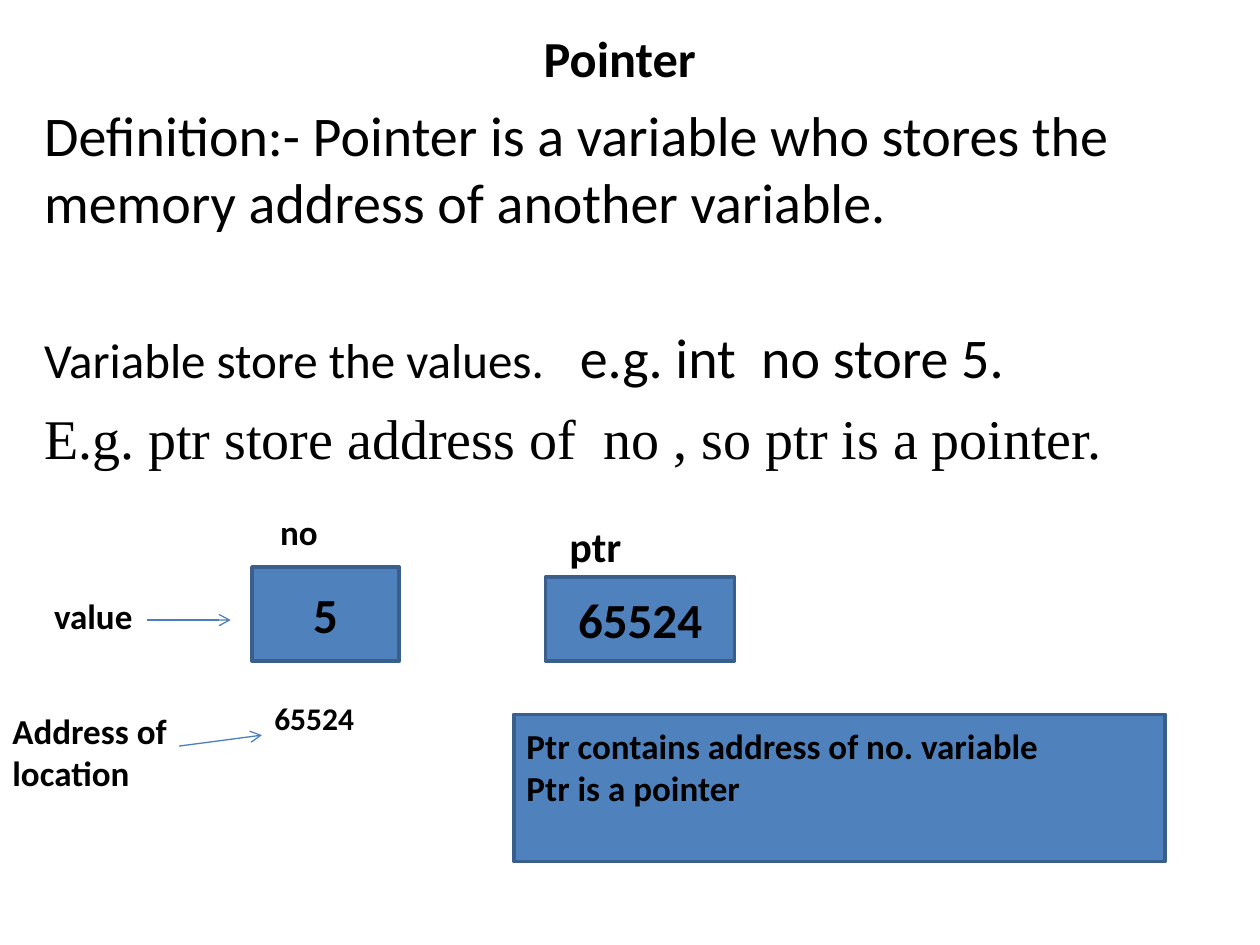
"""Build the slide that explains pointers with a small memory diagram."""
from dataclasses import dataclass

from lxml import etree
from pptx import Presentation
from pptx.dml.color import RGBColor
from pptx.enum.shapes import MSO_CONNECTOR, MSO_SHAPE
from pptx.enum.text import MSO_ANCHOR, PP_ALIGN
from pptx.oxml.ns import qn
from pptx.util import Cm, Pt

BLACK = RGBColor(0x00, 0x00, 0x00)
BOX_FILL = RGBColor(0x4F, 0x81, 0xBD)
BOX_LINE = RGBColor(0x3A, 0x5F, 0x8C)
ARROW_LINE = RGBColor(0x4B, 0x7E, 0xBC)
SANS, SERIF = "Calibri", "Times New Roman"
LEFT, CENTER = PP_ALIGN.LEFT, PP_ALIGN.CENTER
TOP, MIDDLE = MSO_ANCHOR.TOP, MSO_ANCHOR.MIDDLE
RECTANGLE, STRAIGHT = MSO_SHAPE.RECTANGLE, MSO_CONNECTOR.STRAIGHT


@dataclass(frozen=True)
class Label:
    """A bold text at a place in centimetres, boxed or plain."""

    text: str
    left: float
    top: float
    width: float
    height: float
    size: float
    align: PP_ALIGN = LEFT
    anchor: MSO_ANCHOR = TOP
    boxed: bool = False
    inset_left: float = 0.25
    inset_bottom: float = 0.13


@dataclass(frozen=True)
class Arrow:
    """An arrow between two points in centimetres."""

    x1: float
    y1: float
    x2: float
    y2: float


@dataclass(frozen=True)
class Statement:
    """A body paragraph made of (text, size) pieces."""

    pieces: tuple[tuple[str, float], ...]
    space_before: float
    font: str = SANS
    tab: float = 0


LABELS = (
    Label("Pointer", 1.7, 0.43, 21.59, 1.47, 28.8, CENTER, MIDDLE),
    Label("5", 5.08, 11.43, 2.97, 1.9, 28, CENTER, MIDDLE, True),
    Label("65524", 11, 11.63, 3.81, 1.7, 28, CENTER, MIDDLE, True),
    Label("no", 5.08, 10.16, 3.38, 1.12, 20, inset_left=0.57),
    Label("ptr", 11.23, 10.36, 2.34, 1.27, 24),
    Label("value", 0.84, 11.86, 3.61, 1.12, 20),
    Label("65524", 5.28, 13.97, 3.18, 1.07, 18),
    Label("Address of location", 0, 14.17, 5.28, 1.96, 20),
    Label("Ptr contains address of no. variable\nPtr is a pointer",
          10.36, 14.4, 13.13, 2.97, 20, LEFT, MIDDLE, True, inset_bottom=0.99),
)
ARROWS = (Arrow(2.97, 12.5, 4.65, 12.5), Arrow(3.61, 15.04, 5.28, 14.82))
STATEMENTS = (
    Statement((("Definition:- Pointer is a variable who stores the "
                "memory address of another variable.", 32),), 0),
    Statement((("Variable store the values.\t", 28),
               ("e.g. int  no store 5.", 32)), 50, tab=10.8),
    Statement((("E.g. ptr store address of  no , so ptr is a pointer.", 32),),
              8, SERIF),
)


def style_run(run, size: float, font: str = SANS, bold: bool = False) -> None:
    run.font.name = font
    run.font.size = Pt(size)
    run.font.bold = bold
    run.font.color.rgb = BLACK


def add_label(slide, label: Label) -> None:
    place = [Cm(v) for v in (label.left, label.top, label.width, label.height)]
    if label.boxed:
        shape = slide.shapes.add_shape(RECTANGLE, *place)
        shape.shadow.inherit = False
        shape.fill.solid()
        shape.fill.fore_color.rgb = BOX_FILL
        shape.line.color.rgb = BOX_LINE
        shape.line.width = Pt(2)
    else:
        shape = slide.shapes.add_textbox(*place)
    frame = shape.text_frame
    frame.word_wrap = True
    frame.vertical_anchor = label.anchor
    frame.margin_left = Cm(label.inset_left)
    frame.margin_bottom = Cm(label.inset_bottom)
    frame.text = label.text
    for paragraph in frame.paragraphs:
        paragraph.alignment = label.align
        for run in paragraph.runs:
            style_run(run, label.size, bold=True)


def add_arrow(slide, arrow: Arrow) -> None:
    connector = slide.shapes.add_connector(
        STRAIGHT, Cm(arrow.x1), Cm(arrow.y1), Cm(arrow.x2), Cm(arrow.y2))
    connector.line.color.rgb = ARROW_LINE
    connector.line.width = Pt(0.75)
    etree.SubElement(connector.line._get_or_add_ln(), qn("a:tailEnd"), type="arrow")
    etree.SubElement(connector._element.spPr, qn("a:effectLst"))


def add_statements(slide, statements: tuple[Statement, ...]) -> None:
    body = slide.shapes.add_textbox(Cm(0.64), Cm(1.9), Cm(23.93), Cm(16.51))
    frame = body.text_frame
    frame.word_wrap = True
    for index, statement in enumerate(statements):
        paragraph = frame.add_paragraph() if index else frame.paragraphs[0]
        paragraph.space_before = Pt(statement.space_before)
        if statement.tab:
            tabs = etree.SubElement(paragraph._p.get_or_add_pPr(), qn("a:tabLst"))
            etree.SubElement(tabs, qn("a:tab"), pos=str(Cm(statement.tab)), algn="l")
        for text, size in statement.pieces:
            run = paragraph.add_run()
            run.text = text
            style_run(run, size, statement.font)


def main() -> None:
    deck = Presentation()
    deck.slide_width, deck.slide_height = Cm(25.4), Cm(19.05)
    slide = deck.slides.add_slide(deck.slide_layouts[6])
    add_statements(slide, STATEMENTS)
    for label in LABELS:
        add_label(slide, label)
    for arrow in ARROWS:
        add_arrow(slide, arrow)
    deck.save("out.pptx")


main()
